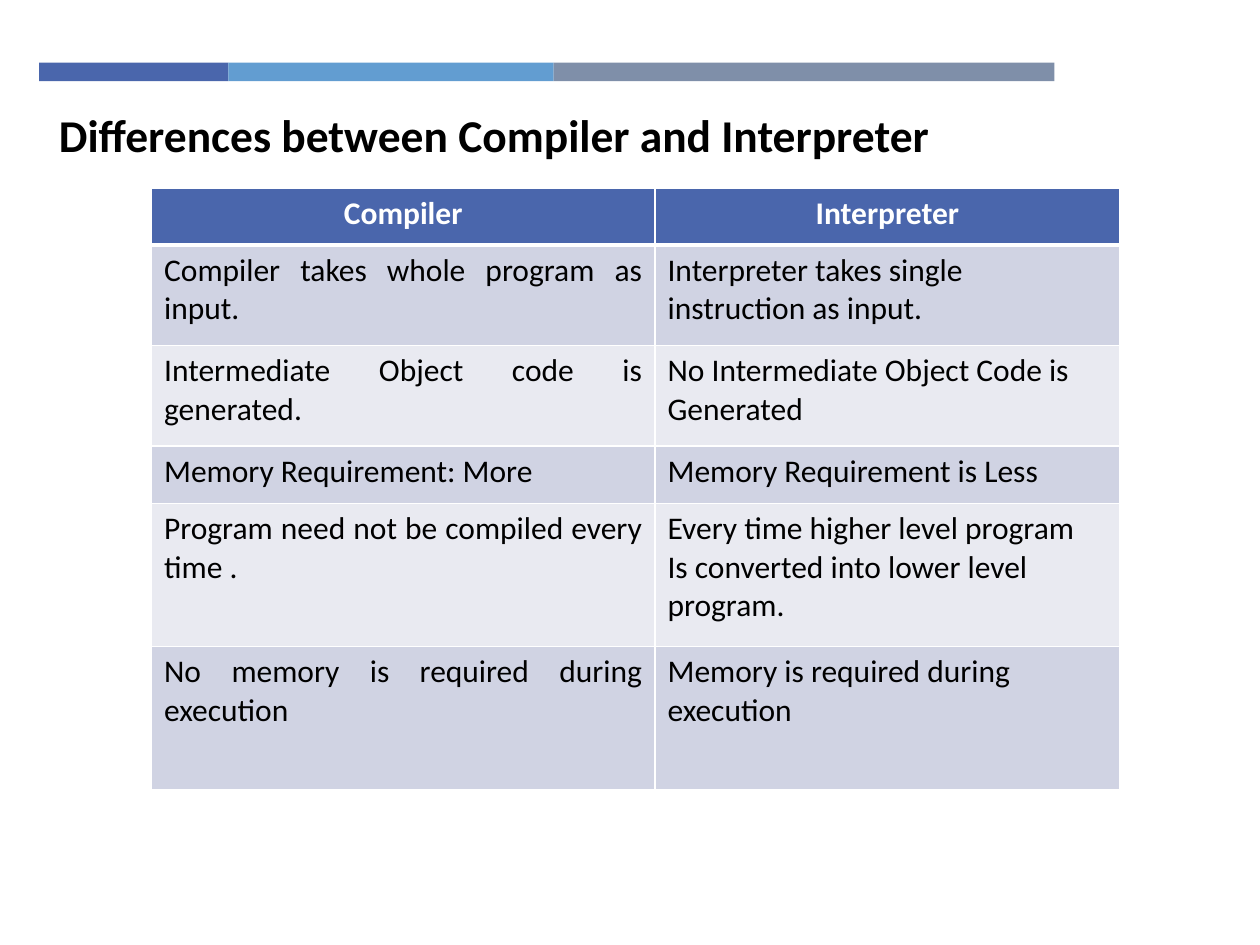
"""Build a slide comparing compilers and interpreters in a table."""
from lxml import etree
from pptx import Presentation
from pptx.dml.color import RGBColor
from pptx.enum.shapes import MSO_SHAPE
from pptx.enum.text import PP_ALIGN
from pptx.oxml.ns import qn
from pptx.util import Pt

RECTANGLE = MSO_SHAPE.RECTANGLE
LEFT, CENTER, JUSTIFY = PP_ALIGN.LEFT, PP_ALIGN.CENTER, PP_ALIGN.JUSTIFY


def rgb(value):
    return RGBColor.from_string(value)


def add_border(cell, side, width):
    ln = etree.SubElement(cell._tc.get_or_add_tcPr(), qn(f"a:{side}"), w=str(Pt(width)))
    fill = etree.SubElement(ln, qn("a:solidFill"))
    etree.SubElement(fill, qn("a:srgbClr"), val="FFFFFF")


prs = Presentation()
prs.slide_width, prs.slide_height = Pt(720), Pt(540)
s = prs.slides.add_slide(prs.slide_layouts[6])

left = 22.3
for width, color in [(108.2, "4A66AC"), (185.8, "629DD1"), (286.2, "7F8FA9")]:
    sp = s.shapes.add_shape(RECTANGLE, Pt(left), Pt(35.8), Pt(width), Pt(10.6))
    sp.shadow.inherit = False
    sp.fill.solid()
    sp.fill.fore_color.rgb = rgb(color)
    sp.line.fill.background()
    left += width

sp = s.shapes.add_textbox(Pt(26.6), Pt(57.6), Pt(515.5), Pt(38.9))
tf = sp.text_frame
tf.word_wrap = True
p = tf.paragraphs[0]
p.text = "Differences between Compiler and Interpreter"
p.font.name, p.font.size, p.font.bold = "Calibri", Pt(26), True
p.font.color.rgb = rgb("000000")

rows = [
    (32.4, CENTER, "Compiler", "Interpreter"),
    (57.4, JUSTIFY, "Compiler takes whole program as input.",
     "Interpreter takes single instruction as input."),
    (57.4, JUSTIFY, "Intermediate Object code is generated.",
     "No Intermediate Object Code is Generated"),
    (33, LEFT, "Memory Requirement: More", "Memory Requirement is Less"),
    (81.8, JUSTIFY, "Program need not be compiled every time .",
     "Every time higher level program\nIs converted into lower level program."),
    (81.8, JUSTIFY, "No memory is required during execution",
     "Memory is required during execution"),
]
widths = [287.7, 265.6]
height = sum(row[0] for row in rows)
table = s.shapes.add_table(len(rows), len(widths), Pt(86.6), Pt(107.6),
                           Pt(sum(widths)), Pt(height)).table
for column, width in zip(table.columns, widths):
    column.width = Pt(width)

for i, (row_height, align, *texts) in enumerate(rows):
    header = i == 0
    table.rows[i].height = Pt(row_height)
    for j, text in enumerate(texts):
        cell = table.cell(i, j)
        for side in ("lnL", "lnR", "lnT", "lnB"):
            thick = (header and side == "lnB") or (i == 1 and side == "lnT")
            add_border(cell, side, 3 if thick else 1)
        cell.fill.solid()
        cell.fill.fore_color.rgb = rgb("4A66AC" if header else ("E9EAF1", "D0D3E3")[i % 2])
        cell.text_frame.text = text
        for p in cell.text_frame.paragraphs:
            p.alignment = align if header or j == 0 else LEFT
            p.font.name, p.font.size, p.font.bold = "Calibri", Pt(18), header
            p.font.color.rgb = rgb("FFFFFF" if header else "000000")

prs.save("out.pptx")
